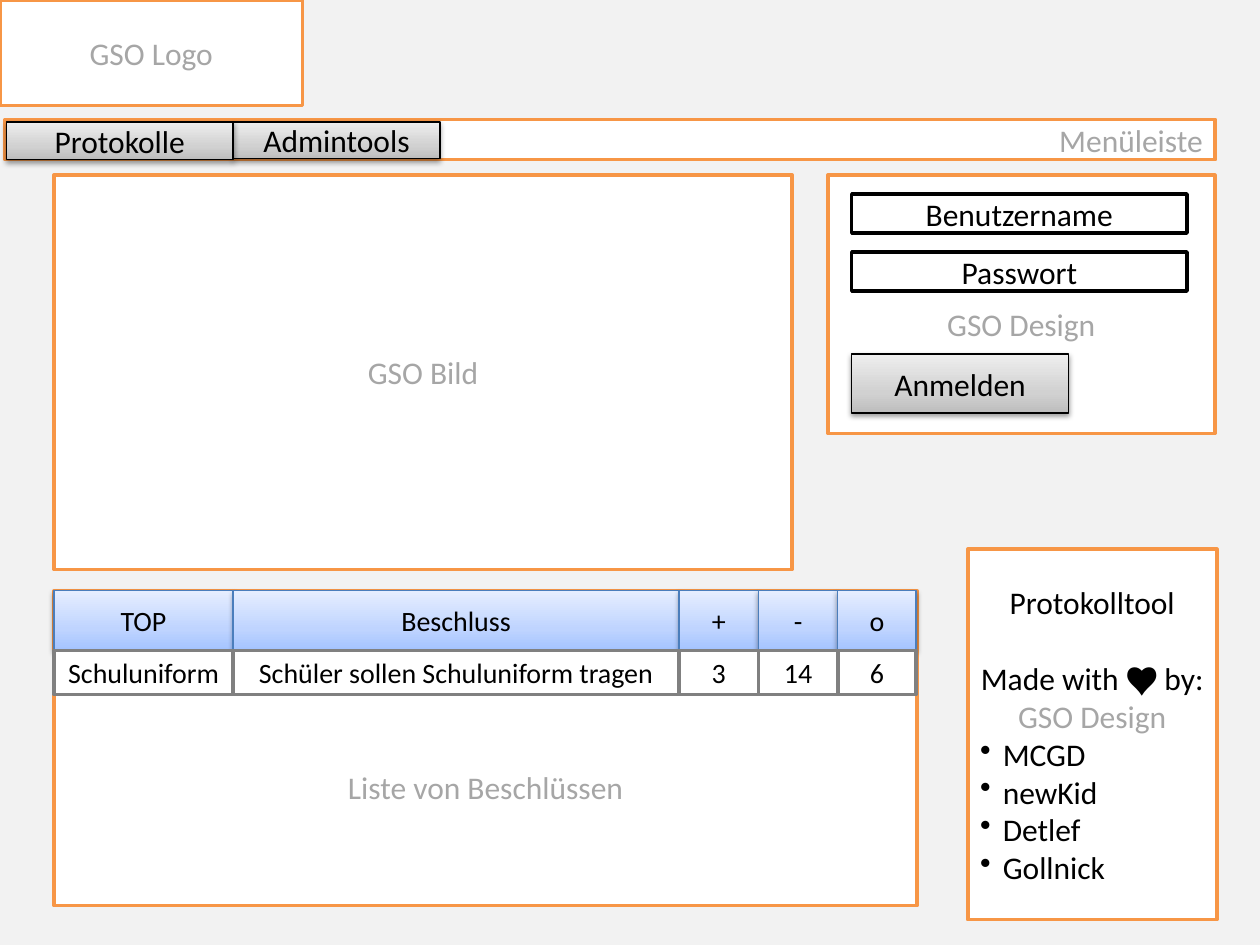
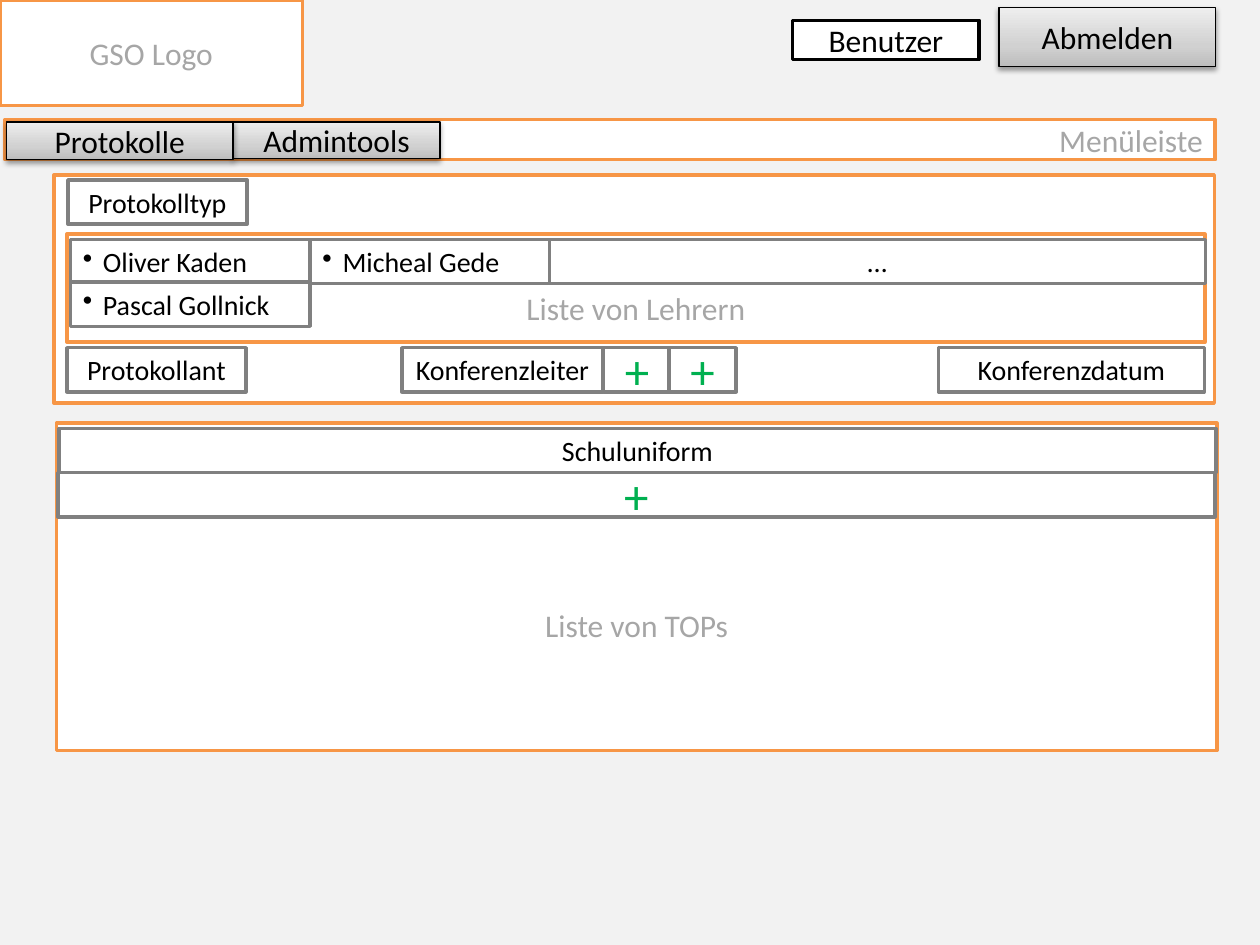
from itertools import accumulate

from pptx import Presentation
from pptx.dml.color import RGBColor
from pptx.enum.shapes import MSO_SHAPE as Shape
from pptx.enum.text import MSO_ANCHOR as Anchor, PP_ALIGN as Align
from pptx.oxml import parse_xml
from pptx.oxml.ns import nsdecls, qn
from pptx.util import Cm, Pt

COLORS = {
    "page": "F2F2F2",
    "white": "FFFFFF",
    "black": "000000",
    "orange": "F79646",
    "gray": "808080",
    "hint": "A6A6A6",
    "blue": "4B7EBC",
    "green": "00B050",
}
GRADIENTS = {
    "silver": [(0, "BDBDBD"), (35, "D1D1D1"), (100, "EEEEEE")],
    "sky": [(0, "A4C4FF"), (35, "BFD4FF"), (100, "E6EEFF")],
}
STYLES = {
    "area": ("white", "orange", 2, "hint", 18),
    "field": ("white", "black", 2, "black", 18),
    "cell": ("white", "gray", 2, "black", 16),
    "plus": ("white", "gray", 2, "green", 28),
    "button": ("silver", "black", 0.75, "black", 18),
    "header": ("sky", "blue", 0.75, "black", 16),
}
FONT = "Calibri"
LINE_HEIGHT = 22
CELL_HEIGHT = 0.89
BUTTON_SIZE = (4.37, 1.19)


def write_line(para, text, color, size, align=Align.CENTER, bullet=False):
    para.text = text
    para.alignment = Align.LEFT if bullet else align
    para.font.name = FONT
    para.font.size = Pt(size)
    para.font.color.rgb = RGBColor.from_string(COLORS[color])
    if bullet:
        props = para._p.get_or_add_pPr()
        indent = Pt(size * 0.72)
        props.set("marL", str(indent))
        props.set("indent", str(-indent))
        props.insert_element_before(
            parse_xml(f'<a:buChar {nsdecls("a")} char="•"/>'), "a:tabLst", "a:defRPr", "a:extLst")


def add_box(page, style, left, top, width, height, text="",
            align=Align.CENTER, lines_above=0, bullet=False):
    fill, line, line_width, color, size = STYLES[style]
    box = page.shapes.add_shape(Shape.RECTANGLE, Cm(left), Cm(top), Cm(width), Cm(height))
    box.shadow.inherit = False
    box.line.color.rgb = RGBColor.from_string(COLORS[line])
    box.line.width = Pt(line_width)
    if fill in GRADIENTS:
        box.fill.gradient()
        box.fill.gradient_angle = 90
        stops = box.element.spPr.find(".//" + qn("a:gsLst"))
        stops.clear()
        for position, tone in GRADIENTS[fill]:
            stops.append(parse_xml(
                f'<a:gs {nsdecls("a")} pos="{position * 1000}"><a:srgbClr val="{tone}"/></a:gs>'))
        box.element.spPr.find(qn("a:effectLst")).append(parse_xml(
            f'<a:outerShdw {nsdecls("a")} blurRad="{Pt(3.1)}" dist="{Pt(1.6)}" dir="5400000" '
            'rotWithShape="0"><a:srgbClr val="000000"><a:alpha val="38000"/></a:srgbClr></a:outerShdw>'))
    else:
        box.fill.solid()
        box.fill.fore_color.rgb = RGBColor.from_string(COLORS[fill])
    frame = box.text_frame
    frame.word_wrap = True
    frame.vertical_anchor = Anchor.MIDDLE
    frame.margin_top = Pt(3.6 + lines_above * LINE_HEIGHT)
    if text:
        write_line(frame.paragraphs[0], text, color, size, align, bullet)
    return box


deck = Presentation()
deck.slide_width, deck.slide_height = Cm(25.4), Cm(19.05)
background = deck.slide_master.background.fill
background.solid()
background.fore_color.rgb = RGBColor.from_string(COLORS["page"])

pages = [deck.slides.add_slide(deck.slide_layouts[6]) for _ in range(2)]
for page in pages:
    add_box(page, "area", 0, 0, 6.1, 2.13, "GSO Logo")
    add_box(page, "area", 0.1, 2.41, 24.4, 0.81, "Menüleiste", Align.RIGHT)
    add_box(page, "button", 4.7, 2.46, 4.17, 0.74, "Admintools")
    add_box(page, "button", 0.13, 2.46, 4.57, 0.76, "Protokolle")
start, protocol = pages

add_box(start, "area", 16.69, 3.53, 7.8, 5.21, "GSO Design", lines_above=1)
add_box(start, "area", 1.09, 3.53, 14.88, 7.95, "GSO Bild")
for index, label in enumerate(["Benutzername", "Passwort"]):
    add_box(start, "field", 17.17, 3.91 + index * 1.17, 6.76, 0.79, label)
add_box(start, "button", 17.17, 7.14, *BUTTON_SIZE, "Anmelden")

imprint = add_box(start, "area", 19.51, 11.07, 5.02, 7.47).text_frame
write_line(imprint.paragraphs[0], "Protokolltool", "black", 18)
made_with = imprint.add_paragraph()
write_line(made_with, "Made with ♥ by:", "black", 18)
made_with.space_before = Pt(LINE_HEIGHT)
write_line(imprint.add_paragraph(), "GSO Design", "hint", 18)
for author in ["MCGD", "newKid", "Detlef", "Gollnick"]:
    write_line(imprint.add_paragraph(), author, "black", 18, bullet=True)

add_box(start, "area", 1.09, 11.91, 17.4, 6.35, "Liste von Beschlüssen", lines_above=2)
column_widths = [3.61, 8.99, 1.6, 1.6, 1.58]
column_lefts = list(accumulate(column_widths[:-1], initial=1.09))
decision_rows = [
    ("header", 11.91, 1.19, ["TOP", "Beschluss", "+", "-", "o"]),
    ("cell", 13.11, CELL_HEIGHT,
     ["Schuluniform", "Schüler sollen Schuluniform tragen", "3", "14", "6"]),
]
for style, top, height, labels in decision_rows:
    for left, width, label in zip(column_lefts, column_widths, labels):
        add_box(start, style, left, top, width, height, label)

add_box(protocol, "field", 15.98, 0.41, 3.76, 0.79, "Benutzer")
add_box(protocol, "button", 20.14, 0.15, *BUTTON_SIZE, "Abmelden")
add_box(protocol, "area", 1.09, 3.53, 23.39, 4.6)
add_box(protocol, "area", 1.35, 4.72, 22.94, 2.18, "Liste von Lehrern", lines_above=1)
add_box(protocol, "area", 1.14, 8.53, 23.39, 6.6, "Liste von TOPs", lines_above=2)

protocol_cells = [
    ("cell", 1.35, 7.01, 3.61, "Protokollant"),
    ("cell", 8.1, 7.01, 4.06, "Konferenzleiter"),
    ("plus", 12.17, 7.01, 1.35, "+"),
    ("plus", 13.49, 7.01, 1.35, "+"),
    ("cell", 18.92, 7.01, 5.36, "Konferenzdatum"),
    ("cell", 1.19, 8.64, 23.32, "Schuluniform"),
    ("plus", 1.17, 9.53, 23.32, "+"),
    ("cell", 1.37, 3.63, 3.61, "Protokolltyp"),
    ("cell", 11.07, 4.83, 13.23, "…"),
]
for style, left, top, width, label in protocol_cells:
    add_box(protocol, style, left, top, width, CELL_HEIGHT, label)

teachers = [("Oliver Kaden", 1.42, 4.83), ("Micheal Gede", 6.25, 4.83), ("Pascal Gollnick", 1.42, 5.69)]
for name, left, top in teachers:
    add_box(protocol, "cell", left, top, 4.83, CELL_HEIGHT, name, bullet=True)

deck.save("out.pptx")
